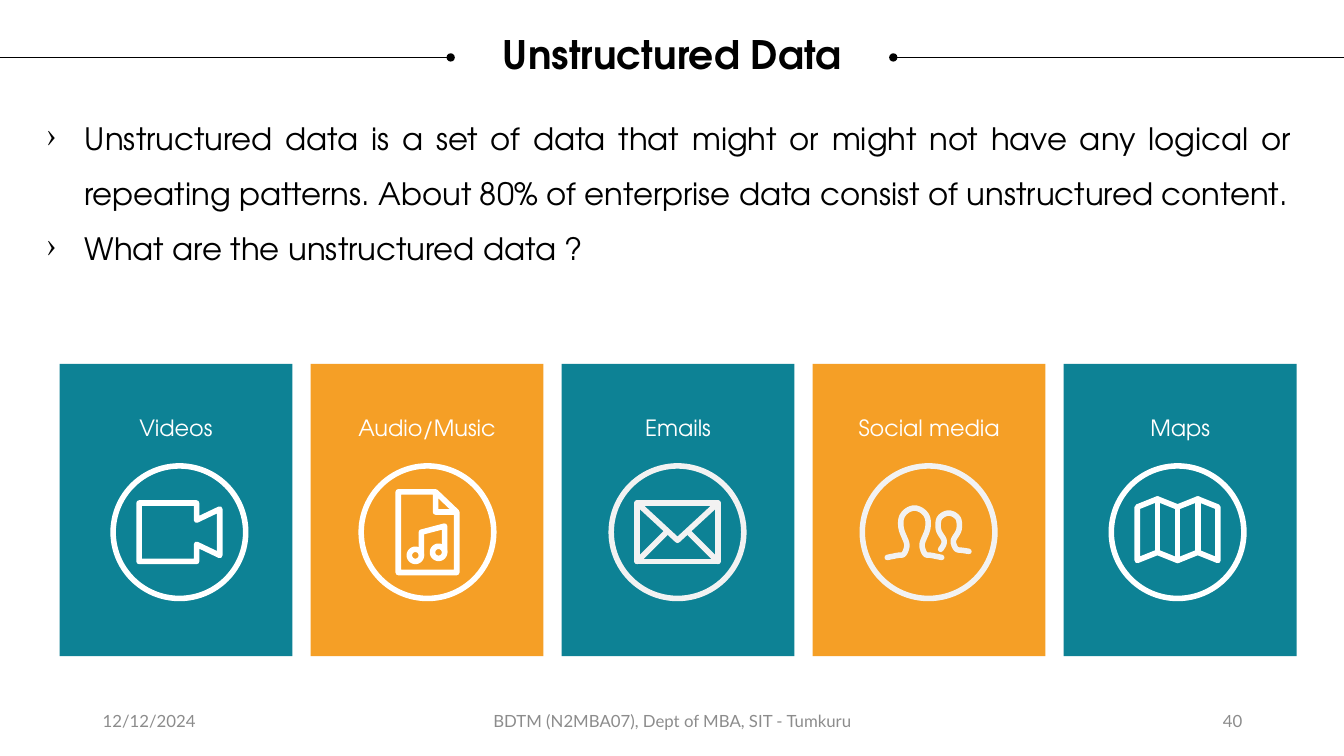
"""Build the Unstructured Data slide with five icon cards."""
from math import cos, pi, sin

from lxml import etree
from pptx import Presentation
from pptx import util as u
from pptx.dml.color import RGBColor
from pptx.enum import shapes, text
from pptx.oxml import ns

WIDTH, HEIGHT = 13.33, 7.5
HEAD_FONT, FOOT_FONT = "TeX Gyre Adventor", "Lato"
TEAL, ORANGE, WHITE, PALE = "0D8295", "F59F26", "FFFFFF", "F2F2F2"
BLACK, GREY = "000000", "8C8C8C"
TITLE = "Unstructured Data"
BULLETS = [
    "Unstructured data is a set of data that might or might not have any logical or "
    "repeating patterns. About 80% of enterprise data consist of unstructured content.",
    "What are the unstructured data ?",
]
FOOTERS = [
    ("12/12/2024", 0.92, 3, "LEFT"),
    ("BDTM (N2MBA07), Dept of MBA, SIT - Tumkuru", 4.42, 4.5, "CENTER"),
    ("40", 9.42, 3, "RIGHT"),
]
RULES = [((0, 0.57), (4.47, 0.57), "tailEnd"), ((8.86, 0.57), (WIDTH, 0.57), "headEnd")]
CARD_LEFT, CARD_TOP, CARD_WIDTH, CARD_HEIGHT, CARD_PITCH = 0.59, 3.61, 2.31, 2.9, 2.49
LABEL_TOP, LABEL_WIDTH, LABEL_HEIGHT = 4.11, 1.55, 0.27
RING_MIDDLE, RING_SIZE, STROKE = 5.28, 1.37, 0.055


def mirror(points):
    """Flip points about the vertical axis."""
    return [(-x, y) for x, y in points]


def shift(points, across):
    """Move points sideways."""
    return [(x + across, y) for x, y in points]


def circle(x, y, radius, steps=24):
    """Return the points of a closed circle."""
    turns = [2 * pi * step / steps for step in range(steps + 1)]
    return [(x + radius * cos(turn), y + radius * sin(turn)) for turn in turns]


def smooth(points, steps=6):
    """Return a smooth curve that passes through the points."""
    padded = [points[0], *points, points[-1]]
    curve = []
    for a, b, c, d in zip(padded, padded[1:], padded[2:], padded[3:]):
        for t in (step / steps for step in range(steps)):
            curve.append(tuple(
                b[k] + t * (c[k] - a[k]) / 2
                + t ** 2 * (2 * a[k] - 5 * b[k] + 4 * c[k] - d[k]) / 2
                + t ** 3 * (3 * b[k] - a[k] - 3 * c[k] + d[k]) / 2
                for k in (0, 1)))
    return curve + [points[-1]]


FRAME = [(-0.4, -0.29), (0.4, -0.29), (0.4, 0.29), (-0.4, 0.29), (-0.4, -0.29)]
FLAP = [(-0.4, 0.29), (-0.12, 0.01)]
CAMERA = [(-0.4, -0.29), (0.17, -0.29), (0.17, -0.12), (0.4, -0.23), (0.4, 0.23),
          (0.17, 0.12), (0.17, 0.29), (-0.4, 0.29), (-0.4, -0.29)]
SHEET = [(0.08, -0.4), (0.29, -0.2), (0.29, 0.4), (-0.29, 0.4), (-0.29, -0.4),
         (0.08, -0.4), (0.08, -0.2), (0.29, -0.2)]
NOTE = [(-0.06, 0.23), (-0.06, 0), (0.17, -0.06), (0.17, 0.2)]
FOLDS = [(-0.4, -0.25), (-0.2, -0.33), (0, -0.25), (0.2, -0.33), (0.4, -0.25)]
MAP_DROP = 0.53
MAP_BASE = [(x, y + MAP_DROP) for x, y in FOLDS]
FRONT = [(0, -0.24), (0.08, -0.21), (0.13, -0.14), (0.13, -0.03), (0.08, 0.1),
         (0.08, 0.16), (0.11, 0.22), (0.17, 0.23), (0.27, 0.25)]
BACK = [(0, -0.19), (0.06, -0.17), (0.1, -0.12), (0.1, -0.02), (0.05, 0.07),
        (0.05, 0.12), (0.08, 0.17), (0.14, 0.18), (0.2, 0.19)]
PEOPLE = [shift(smooth(mirror(FRONT)[:0:-1] + FRONT), -0.14),
          shift(smooth(mirror(BACK[:7])[:0:-1] + BACK), 0.2)]

CARDS = [
    ("Videos", TEAL, WHITE, 1.78, [CAMERA]),
    ("Audio/Music", ORANGE, WHITE, 4.24,
     [SHEET, NOTE, circle(-0.12, 0.23, 0.06), circle(0.11, 0.2, 0.06)]),
    ("Emails", TEAL, PALE, 6.72,
     [FRAME, [(-0.4, -0.29), (0, 0.08), (0.4, -0.29)], FLAP, mirror(FLAP)]),
    ("Social media", ORANGE, PALE, 9.21, PEOPLE),
    ("Maps", TEAL, WHITE, 11.68,
     [FOLDS + MAP_BASE[::-1] + FOLDS[:1], *zip(FOLDS[1:4], MAP_BASE[1:4])]),
]


def color(value):
    """Turn a hex string into a colour."""
    return RGBColor.from_string(value)


def write(page, area, lines, size, font=HEAD_FONT, ink=BLACK, bold=False, align="CENTER",
          spacing=None, bullet=None, inset=True, anchor="TOP"):
    """Add a text box with one paragraph for each line."""
    box = page.shapes.add_textbox(*map(u.Inches, area))
    frame = box.text_frame
    frame.word_wrap = True
    frame.vertical_anchor = text.MSO_ANCHOR[anchor]
    if not inset:
        frame.margin_left = frame.margin_right = frame.margin_top = frame.margin_bottom = 0
    for index, line in enumerate(lines):
        para = frame.add_paragraph() if index else frame.paragraphs[0]
        if bullet:
            details = para._p.get_or_add_pPr()
            details.set("marL", str(u.Inches(0.38)))
            details.set("indent", str(-u.Inches(0.38)))
            etree.SubElement(details, ns.qn("a:buChar")).set("char", bullet)
        para.alignment = text.PP_ALIGN[align]
        para.line_spacing = spacing
        span = para.add_run()
        span.text = line
        span.font.size, span.font.name, span.font.bold = u.Pt(size), font, bold
        span.font.color.rgb = color(ink)


def add_rule(page, start, end, dot):
    """Draw a thin line with a round dot at one end."""
    ends = [u.Inches(value) for value in (*start, *end)]
    rule = page.shapes.add_connector(shapes.MSO_CONNECTOR.STRAIGHT, *ends)
    rule.line.color.rgb = color(BLACK)
    rule.line.width = u.Pt(0.5)
    etree.SubElement(rule.line._get_or_add_ln(), ns.qn("a:" + dot)).set("type", "oval")
    etree.SubElement(rule._element.spPr, ns.qn("a:effectLst"))


def add_solid(page, kind, area, fill):
    """Add a flat filled shape."""
    shape = page.shapes.add_shape(shapes.MSO_SHAPE[kind], *map(u.Inches, area))
    shape.shadow.inherit = False
    shape.fill.solid()
    shape.fill.fore_color.rgb = color(fill)
    shape.line.fill.background()
    return shape


def add_icon(page, middle, strokes, ink):
    """Draw the strokes of an icon as one outline."""
    paths = [[(u.Inches(middle + x), u.Inches(RING_MIDDLE + y)) for x, y in stroke]
             for stroke in strokes]
    builder = page.shapes.build_freeform(*paths[0][0])
    for index, points in enumerate(paths):
        if index:
            builder.move_to(*points[0])
        builder.add_line_segments(points[1:], close=points[0] == points[-1])
    icon = builder.convert_to_shape()
    icon.shadow.inherit = False
    icon.fill.background()
    icon.line.color.rgb = color(ink)
    icon.line.width = u.Inches(STROKE)
    outline = icon.line._get_or_add_ln()
    outline.set("cap", "rnd")
    etree.SubElement(outline, ns.qn("a:round"))


def add_card(page, column, label, fill, ink, middle, strokes):
    """Add one card with its label, ring and icon."""
    left = CARD_LEFT + column * CARD_PITCH
    add_solid(page, "RECTANGLE", (left, CARD_TOP, CARD_WIDTH, CARD_HEIGHT), fill)
    label_left = left + (CARD_WIDTH - LABEL_WIDTH) / 2
    write(page, (label_left, LABEL_TOP, LABEL_WIDTH, LABEL_HEIGHT), [label], 16,
          ink=WHITE, inset=False)
    corner = (middle - RING_SIZE / 2, RING_MIDDLE - RING_SIZE / 2)
    ring = add_solid(page, "DONUT", (*corner, RING_SIZE, RING_SIZE), ink)
    ring.adjustments[0] = STROKE / RING_SIZE
    add_icon(page, middle, strokes, ink)


def main():
    """Build and save the deck."""
    deck = Presentation()
    deck.slide_width, deck.slide_height = u.Inches(WIDTH), u.Inches(HEIGHT)
    page = deck.slides.add_slide(deck.slide_layouts[6])
    for rule in RULES:
        add_rule(page, *rule)
    write(page, (0.25, 0.35, 12.83, 0.42), [TITLE], 28, bold=True, spacing=0.9, inset=False)
    write(page, (0.46, 1, 12.35, 2.71), BULLETS, 22, align="JUSTIFY", spacing=1.5,
          bullet="›", inset=False)
    for column, card in enumerate(CARDS):
        add_card(page, column, *card)
    for words, left, width, align in FOOTERS:
        write(page, (left, 6.95, width, 0.4), [words], 12, font=FOOT_FONT, ink=GREY,
              align=align, anchor="MIDDLE")
    deck.save("out.pptx")


if __name__ == "__main__":
    main()
